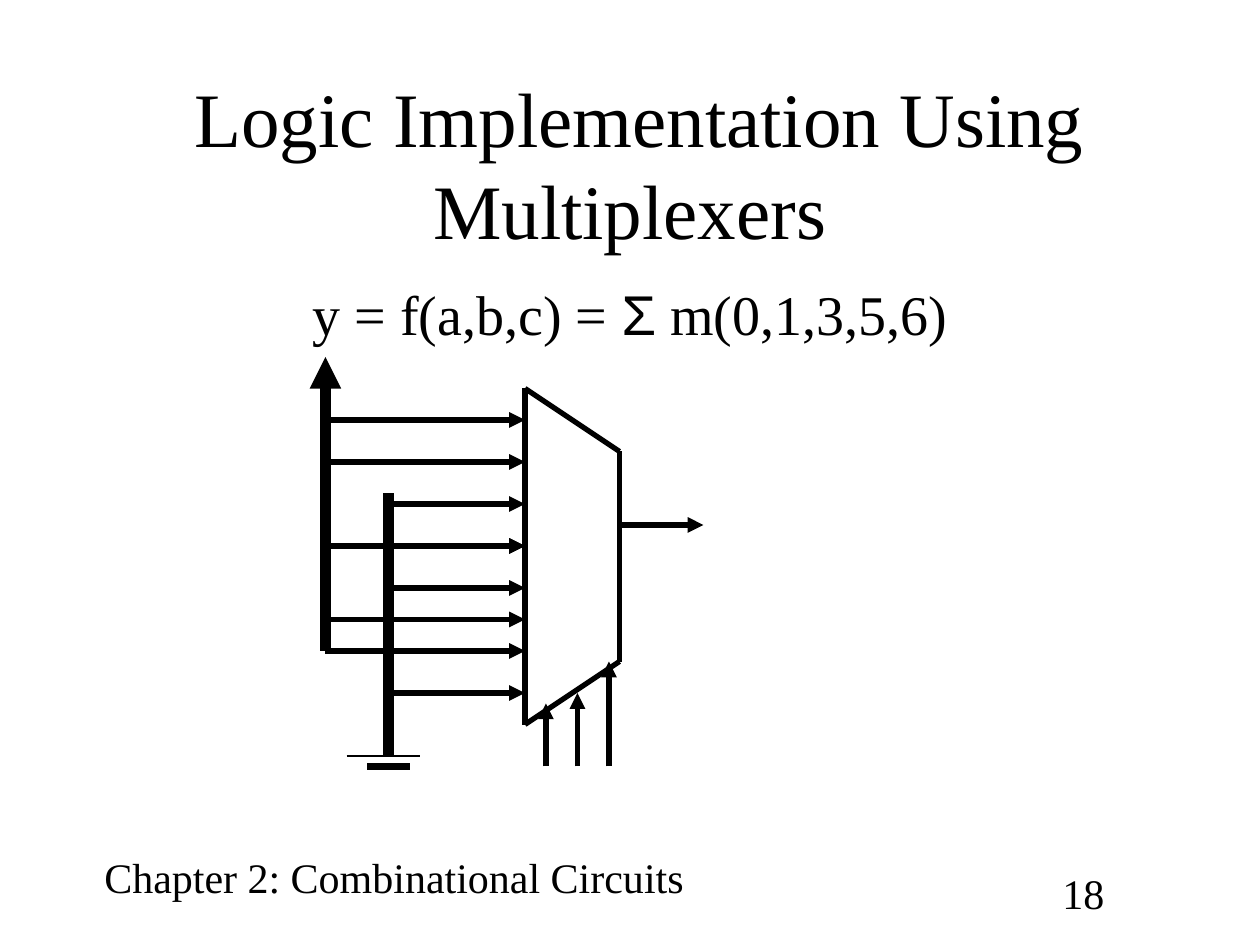
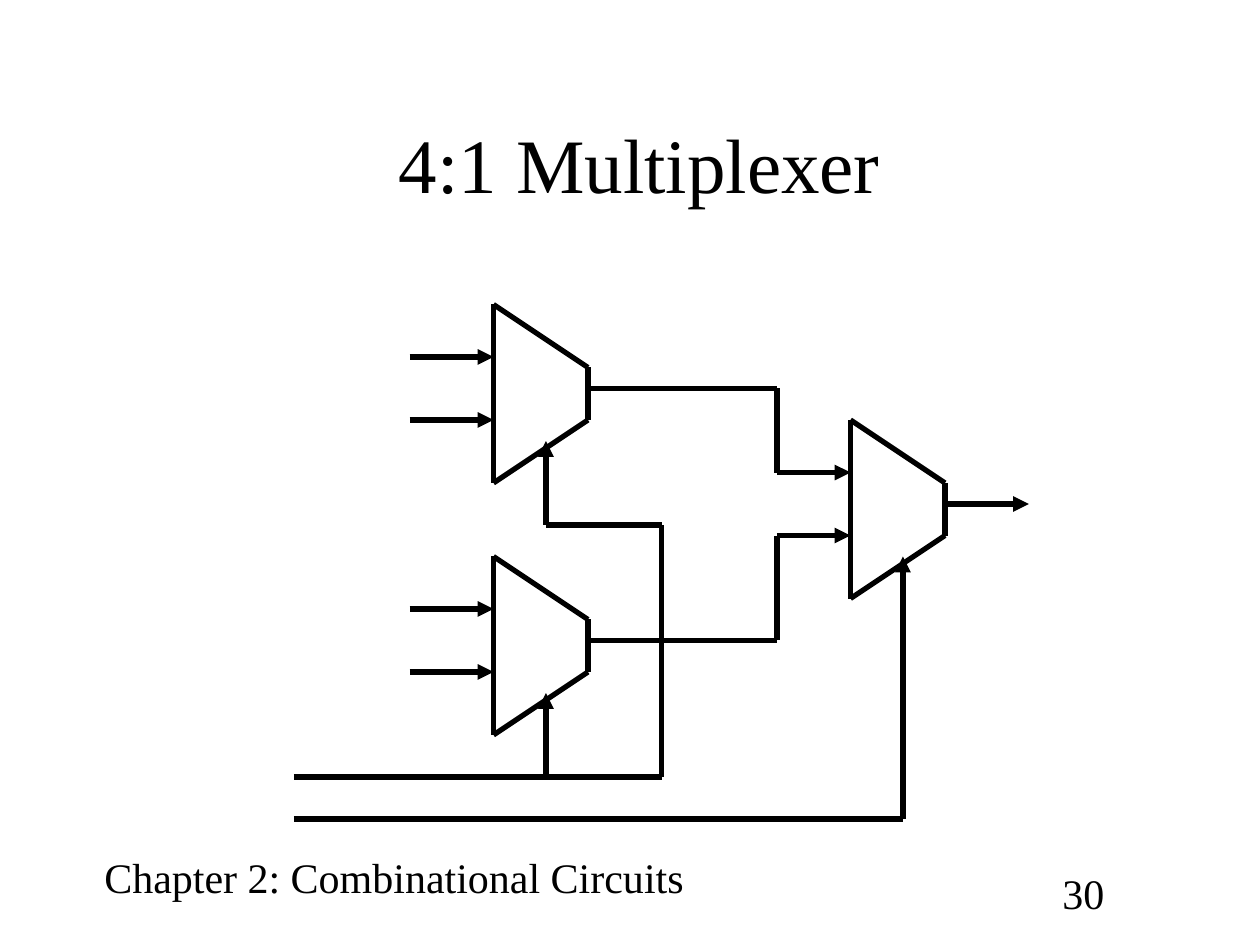
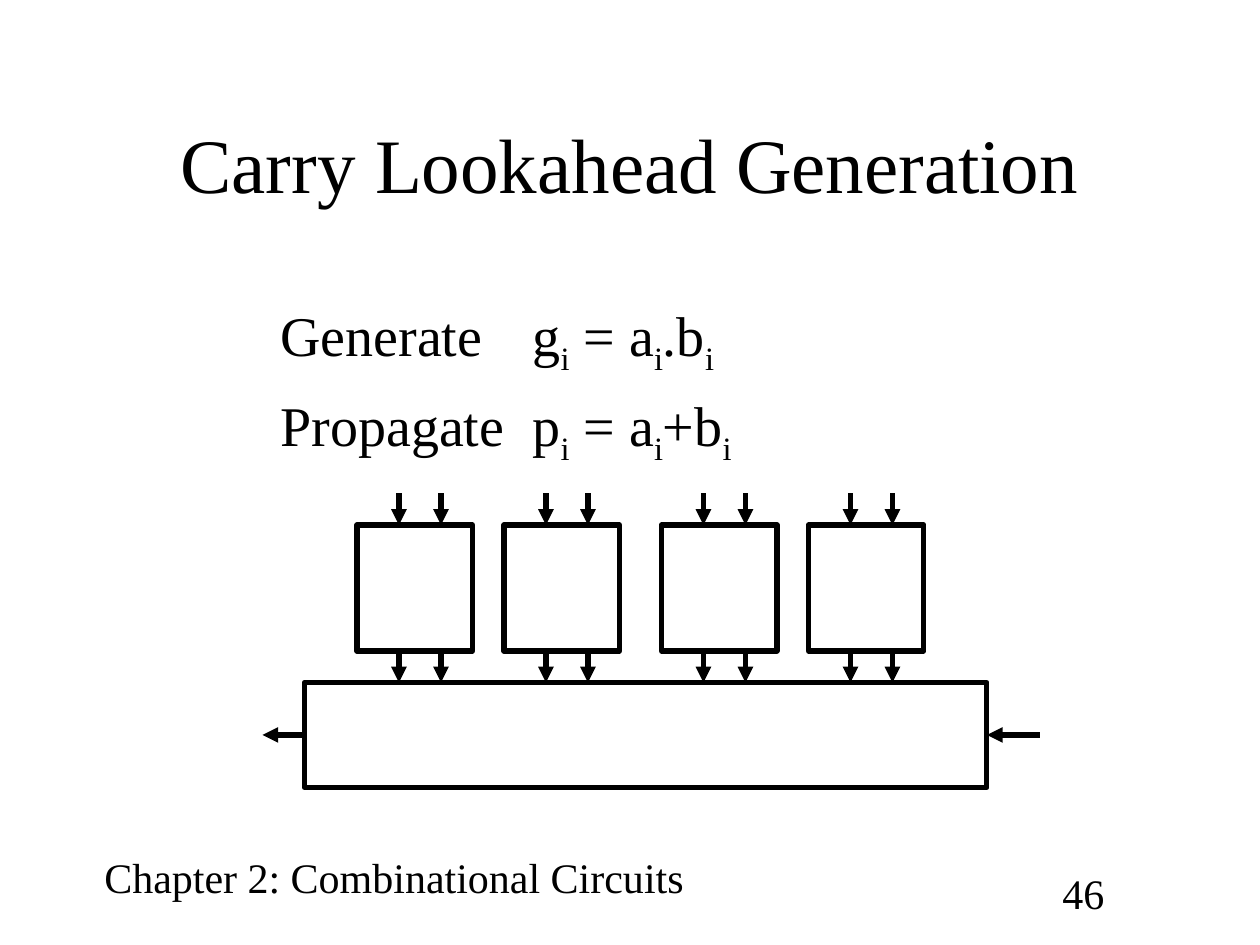
from dataclasses import dataclass
from itertools import pairwise
from typing import NamedTuple

from lxml.etree import SubElement
from pptx import Presentation
from pptx.dml.color import RGBColor
from pptx.enum.shapes import MSO_CONNECTOR as Link, MSO_SHAPE as Form
from pptx.enum.text import MSO_ANCHOR as Anchor, MSO_AUTO_SIZE as Fit, PP_ALIGN as Align
from pptx.oxml.ns import qn
from pptx.util import Cm, Pt

SERIF, SANS = "Times New Roman", "Arial"
INK = "000000"
THIN, THICK = 3, 6
STEP = 2.54 / 12


def grid(*ticks):
    return [Cm(tick * STEP) for tick in ticks]


def paint(color, code: str):
    color.rgb = RGBColor.from_string(code)


class Run(NamedTuple):
    text: str
    face: str = SERIF
    sub: bool = False


class Wire(NamedTuple):
    points: tuple
    head: bool = True
    width: float = THIN


@dataclass
class Mux:
    x: int
    y: int
    tall: int = 17
    wide: int = 9
    slope: int = 6

    @property
    def right(self) -> int:
        return self.x + self.wide

    @property
    def sides(self) -> list:
        top, base = self.y, self.y + self.tall
        return [
            Wire(((self.x, top), (self.x, base)), False),
            Wire(((self.x, top), (self.right, top + self.slope)), False),
            Wire(((self.x, base), (self.right, base - self.slope)), False),
            Wire(((self.right, top + self.slope), (self.right, base - self.slope)), False),
        ]


@dataclass
class Box:
    x: int
    y: int
    wide: int
    tall: int


def style(font, size: int, face: str = SERIF):
    font.size, font.name = Pt(size), face
    paint(font.color, INK)


def draw_wire(slide, wire: Wire) -> list:
    lines = []
    for start, end in pairwise(wire.points):
        line = slide.shapes.add_connector(Link.STRAIGHT, *grid(*start, *end))
        line.line.width = Pt(wire.width)
        paint(line.line.color, INK)
        lines.append(line)
    if wire.head:
        SubElement(lines[-1].line._get_or_add_ln(), qn("a:tailEnd"), type="triangle")
    for line in lines:
        SubElement(line._element.spPr, qn("a:effectLst"))
    return lines


def draw_wires(slide, wires: list):
    for wire in wires:
        draw_wire(slide, wire)


def draw_box(slide, box: Box):
    shape = slide.shapes.add_shape(Form.RECTANGLE, *grid(box.x, box.y, box.wide, box.tall))
    shape.shadow.inherit = False
    shape.fill.background()
    shape.line.width = Pt(THIN)
    paint(shape.line.color, INK)
    return shape


def add_label(slide, place: tuple, text: str):
    frame = slide.shapes.add_textbox(*grid(*place)).text_frame
    frame.word_wrap = True
    frame.text = text
    style(frame.paragraphs[0].runs[0].font, 24)


def add_body(slide, top: int, rows: list, align=Align.LEFT, pad: float = 0.25, tab: float = 0):
    frame = slide.shapes.add_textbox(*grid(9, top, 102, 54)).text_frame
    frame.word_wrap = True
    frame.margin_left = Cm(pad)
    for num, row in enumerate(rows):
        para = frame.add_paragraph() if num else frame.paragraphs[0]
        para.alignment = align
        if num:
            para.space_before = Pt(8)
        if tab:
            tabs = SubElement(para._p.get_or_add_pPr(), qn("a:tabLst"))
            SubElement(tabs, qn("a:tab"), pos=str(Cm(tab)), algn="l")
        for part in row:
            run = para.add_run()
            run.text = part.text
            style(run.font, 32, part.face)
            if part.sub:
                run._r.get_or_add_rPr().set("baseline", "-25000")


def add_slide(deck, title: str, number: int, inset: float = 0):
    slide = deck.slides.add_slide(deck.slide_layouts[5])
    head = slide.shapes.title
    head.left, head.top, head.width, head.height = grid(9, 8, 102, 15)
    frame = head.text_frame
    frame.text = title
    frame.auto_size = Fit.NONE
    frame.word_wrap = True
    frame.vertical_anchor = Anchor.MIDDLE
    para = frame.paragraphs[0]
    para.alignment = Align.CENTER
    para._p.get_or_add_pPr().set("indent", str(Cm(inset)))
    style(para.runs[0].font, 44)
    add_label(slide, (8.75, 80.5, 58.5, 6), "Chapter 2: Combinational Circuits")
    add_label(slide, (100, 82, 11, 6), str(number))
    return slide


def show_logic(deck):
    slide = add_slide(deck, "Logic Implementation Using Multiplexers", 18, 0.39)
    formula = [Run("y = f(a,b,c) = "), Run("Σ", SANS), Run(" m(0,1,3,5,6)")]
    add_body(slide, 26, [formula], Align.CENTER)
    mux = Mux(50, 37, 32)
    high, low = 31, 37
    ones = {0, 1, 3, 5, 6}
    rows = (40, 44, 48, 52, 56, 59, 62, 66)
    draw_wires(slide, mux.sides)
    for term, y in enumerate(rows):
        draw_wire(slide, Wire(((high if term in ones else low, y), (mux.x, y))))
    for x, y in ((52, 67), (55, 66), (58, 63)):
        draw_wire(slide, Wire(((x, 73), (x, y))))
    draw_wires(slide, [
        Wire(((42, 52), (mux.x, 52))),
        Wire(((mux.right, 50), (67, 50))),
        Wire(((high, 62), (high, 34)), True, THICK),
        Wire(((low, 47), (low, 72)), False, THICK),
        Wire(((33, 72), (40, 72)), False, 0.75),
        Wire(((35, 73), (39, 73)), False, 4.5),
    ])


def show_mux(deck):
    slide = add_slide(deck, "4:1 Multiplexer", 30, 0.39)
    upper, lower, last = Mux(47, 29), Mux(47, 53), Mux(81, 40)
    for mux in (upper, lower, last):
        draw_wires(slide, mux.sides)
    for mux in (upper, lower):
        for y in (mux.y + 5, mux.y + 11):
            draw_wire(slide, Wire(((39, y), (mux.x, y))))
    for mux, y in ((upper, 45), (lower, 51)):
        out = mux.y + 8
        draw_wire(slide, Wire(((mux.right, out), (74, out), (74, y), (last.x, y))))
    draw_wires(slide, [
        Wire(((last.right, 48), (98, 48))),
        Wire(((28, 74), (63, 74), (63, 50), (52, 50), (52, 42))),
        Wire(((52, 74), (52, 66))),
        Wire(((28, 78), (86, 78), (86, 53))),
    ])


def show_carry(deck):
    slide = add_slide(deck, "Carry Lookahead Generation", 46)
    low = Run("i", sub=True)
    rows = [
        [Run(name), low, Run(" = a"), low, Run(tail), low]
        for name, tail in (("Generate\tg", ".b"), ("Propagate\tp", "+b"))
    ]
    add_body(slide, 28, rows, pad=3.75, tab=5.08)
    for x in (34, 48, 63, 77):
        draw_box(slide, Box(x, 50, 11, 12))
        for pin in (x + 4, x + 8):
            for y in (47, 62):
                draw_wire(slide, Wire(((pin, y), (pin, y + 3))))
    bar = draw_box(slide, Box(29, 65, 65, 10))
    draw_wire(slide, Wire(((99, 70), (94, 70))))[0].end_connect(bar, 3)
    draw_wire(slide, Wire(((29, 70), (25, 70))))[0].begin_connect(bar, 1)


def main():
    deck = Presentation()
    deck.slide_width, deck.slide_height = Cm(25.4), Cm(19.05)
    for show in (show_logic, show_mux, show_carry):
        show(deck)
    deck.save("out.pptx")


if __name__ == "__main__":
    main()
